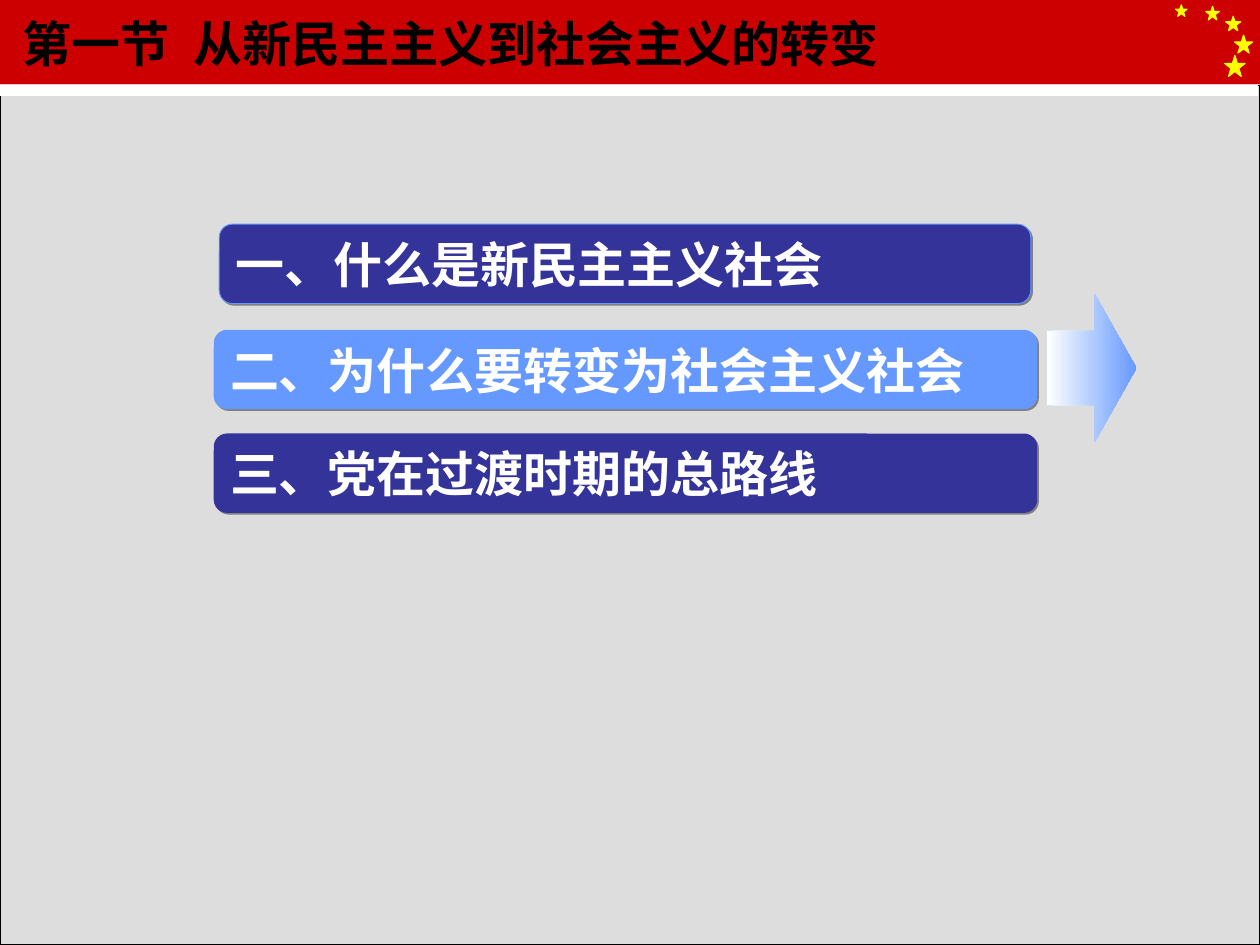
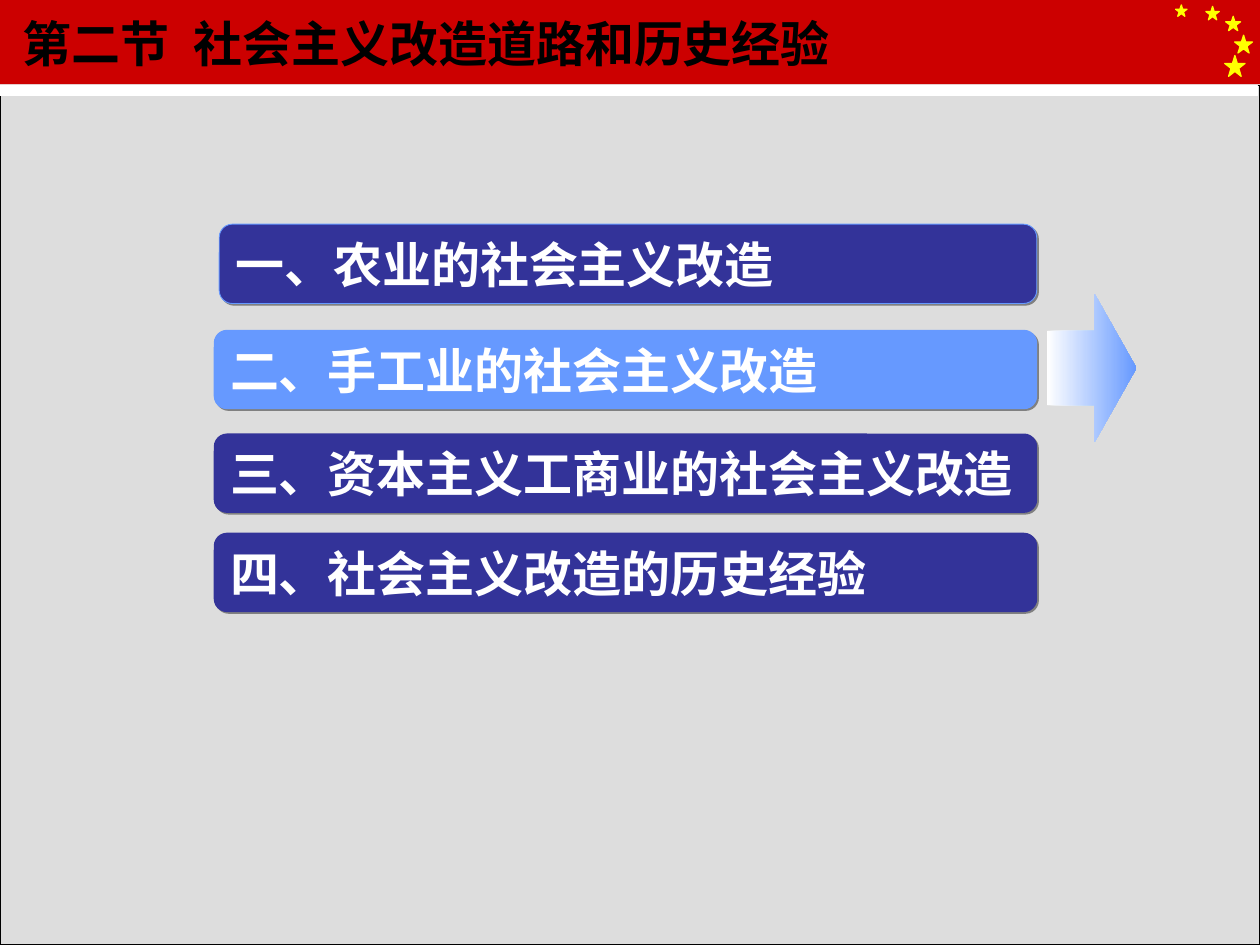
"""Builds two section outline slides with a red star banner and numbered topic bars."""
from dataclasses import dataclass

from lxml.etree import SubElement
from pptx import Presentation
from pptx.dml.color import RGBColor
from pptx.enum.shapes import MSO_SHAPE as Preset
from pptx.enum.text import MSO_ANCHOR as Anchor, MSO_AUTO_SIZE as AutoSize, PP_ALIGN as Align
from pptx.oxml.ns import qn
from pptx.util import Cm, Pt

FONT = "Times New Roman"
RED, YELLOW, WHITE, BLACK = "CC0000", "FFFF00", "FFFFFF", "000000"
NAVY, SKY, PANEL, BACKDROP, SHADOW = "333399", "6699FF", "DDDDDD", "EAEAEA", "808080"
PAGE_WIDTH, PAGE_HEIGHT, BANNER_HEIGHT = 25.4, 19.05, 1.73
TITLE_TAB = 3.45
BAR_HEIGHT = 1.6


@dataclass(frozen=True)
class Box:
    left: float
    top: float
    width: float
    height: float


@dataclass(frozen=True)
class BarStyle:
    left: float
    top: float
    width: float
    fill: str = NAVY
    line: str | None = None


@dataclass(frozen=True)
class Section:
    title: str
    topics: tuple[str, ...]
    first_width: float


STARS = (
    Box(24.69, 1.12, 0.41, 0.42),
    Box(24.31, 0.13, 0.27, 0.27),
    Box(23.7, 0.1, 0.23, 0.23),
    Box(24.71, 0.33, 0.3, 0.29),
    Box(24.89, 0.71, 0.36, 0.36),
)
LOWER_BAR = {"left": 4.31, "width": 16.6}
LOWER_BARS = (
    BarStyle(top=6.65, fill=SKY, **LOWER_BAR),
    BarStyle(top=8.74, **LOWER_BAR),
    BarStyle(top=10.74, **LOWER_BAR),
)
SECTIONS = (
    Section(
        "第一节\t从新民主主义到社会主义的转变",
        ("一、什么是新民主主义社会", "二、为什么要转变为社会主义社会", "三、党在过渡时期的总路线"),
        first_width=16.36,
    ),
    Section(
        "第二节\t社会主义改造道路和历史经验",
        ("一、农业的社会主义改造", "二、手工业的社会主义改造",
         "三、资本主义工商业的社会主义改造", "四、社会主义改造的历史经验"),
        first_width=16.48,
    ),
)


def color(value: str) -> RGBColor:
    return RGBColor.from_string(value)


def write(shape, text: str, *, ink: str, size: float = 28, bold: bool = True,
          fit=AutoSize.NONE, tab: float | None = None) -> None:
    frame = shape.text_frame
    frame.word_wrap = True
    frame.auto_size = fit
    frame.vertical_anchor = Anchor.MIDDLE
    para = frame.paragraphs[0]
    para.alignment = Align.LEFT
    if tab is not None:
        stops = SubElement(para._p.get_or_add_pPr(), qn("a:tabLst"))
        SubElement(stops, qn("a:tab"), pos=str(Cm(tab)), algn="l")
    span = para.add_run()
    span.text = text
    span.font.name = FONT
    span.font.size = Pt(size)
    span.font.bold = bold
    span.font.color.rgb = color(ink)


def draw(page, preset, box: Box, fill: str | None = None,
         line: str | None = None, weight: float = 0.75):
    shape = page.shapes.add_shape(
        preset, Cm(box.left), Cm(box.top), Cm(box.width), Cm(box.height))
    shape.shadow.inherit = False
    if fill:
        shape.fill.solid()
        shape.fill.fore_color.rgb = color(fill)
    if line:
        shape.line.color.rgb = color(line)
        shape.line.width = Pt(weight)
    else:
        shape.line.fill.background()
    return shape


def add_shadow(shape) -> None:
    effects = shape.element.spPr.find(qn("a:effectLst"))
    shadow = SubElement(effects, qn("a:outerShdw"), dist=str(Pt(1.4)),
                        dir="2700000", algn="ctr", rotWithShape="0")
    SubElement(shadow, qn("a:srgbClr"), val=SHADOW)


def furnish_layout(page, layout) -> None:
    panel_height = PAGE_HEIGHT - BANNER_HEIGHT
    furniture = [
        draw(page, Preset.RECTANGLE, Box(0, 0, PAGE_WIDTH, 1.7), RED),
        *(draw(page, Preset.STAR_5_POINT, star, YELLOW, YELLOW) for star in STARS),
        draw(page, Preset.RECTANGLE,
             Box(0, BANNER_HEIGHT, PAGE_WIDTH, panel_height), PANEL, BLACK),
        draw(page, Preset.RECTANGLE, Box(0, BANNER_HEIGHT, 25.35, 0.2), WHITE, WHITE),
    ]
    for number, shape in enumerate(furniture, start=100):
        shape.element.nvSpPr.cNvPr.set("id", str(number))
        layout.shapes.element.append(shape.element)


def add_title(page, text: str) -> None:
    title = page.shapes.title
    title.left, title.top = Cm(0.2), Cm(0)
    title.width, title.height = Cm(19.89), Cm(BANNER_HEIGHT)
    write(title, text, ink=BLACK, tab=TITLE_TAB)


def add_bar(page, text: str, style: BarStyle) -> None:
    box = Box(style.left, style.top, style.width, BAR_HEIGHT)
    bar = draw(page, Preset.ROUNDED_RECTANGLE, box, style.fill, style.line, weight=0.5)
    add_shadow(bar)
    write(bar, text, ink=WHITE, fit=AutoSize.SHAPE_TO_FIT_TEXT)


def add_arrow(page) -> None:
    arrow = draw(page, Preset.RIGHT_ARROW, Box(21.11, 5.92, 1.8, 3))
    arrow.adjustments[0], arrow.adjustments[1] = 0.5, 0.47
    arrow.fill.gradient()
    arrow.fill.gradient_angle = 0
    for stop, shade in zip(arrow.fill.gradient_stops, (WHITE, SKY)):
        stop.color.rgb = color(shade)


def add_section(page, section: Section) -> None:
    add_title(page, section.title)
    first_bar = BarStyle(4.42, 4.52, section.first_width, line=SKY)
    for topic, style in zip(section.topics, (first_bar, *LOWER_BARS)):
        add_bar(page, topic, style)
    add_arrow(page)


def main() -> None:
    deck = Presentation()
    deck.slide_width, deck.slide_height = Cm(PAGE_WIDTH), Cm(PAGE_HEIGHT)
    backdrop = deck.slide_master.background.fill
    backdrop.solid()
    backdrop.fore_color.rgb = color(BACKDROP)
    layout = deck.slide_layouts.get_by_name("Title Only")
    pages = [deck.slides.add_slide(layout) for _ in SECTIONS]
    furnish_layout(pages[0], layout)
    for page, section in zip(pages, SECTIONS):
        add_section(page, section)
    deck.save("out.pptx")


if __name__ == "__main__":
    main()
